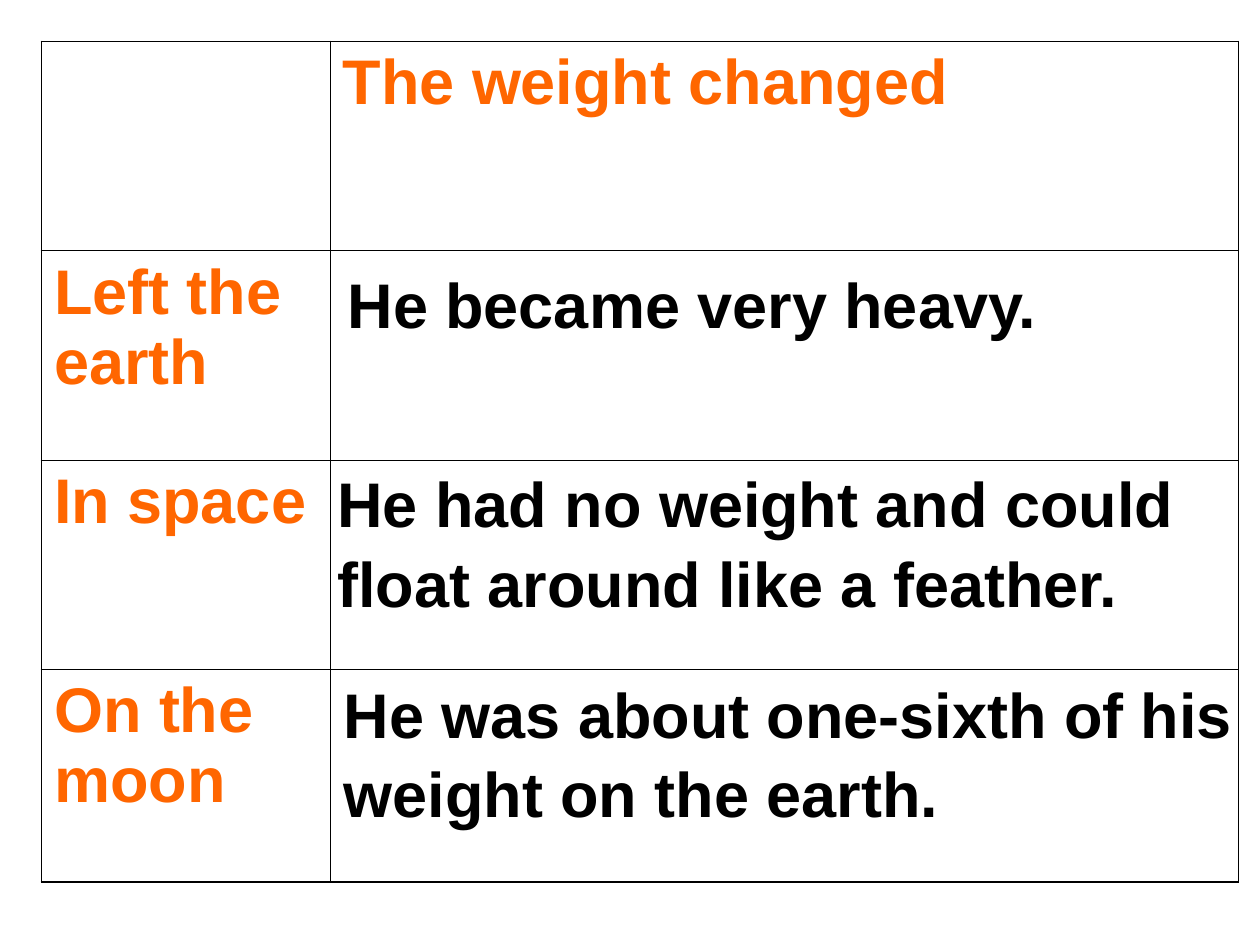
from lxml import etree
from pptx import Presentation
from pptx.dml.color import RGBColor
from pptx.enum import text
from pptx.oxml import ns
from pptx.util import Inches, Pt

ORANGE = RGBColor(0xFF, 0x66, 0x00)
BLACK = RGBColor(0, 0, 0)
FONT, SIZE = "Arial", 36
THIN, THICK = 0.45, 1.08

# Content
ROWS = [
    ("", "The weight changed"),
    ("Left the earth", ""),
    ("In space", ""),
    ("On the moon", ""),
]
COLS = [2.29, 7.21]
HEIGHTS = [1.66, 1.66, 1.66, 1.69]
LEFT = TOP = 0.33
NOTES = [  # left, top, width, height, words
    (2.66, 2.03, 7.01, 0.7, "He became very heavy."),
    (2.58, 3.61, 7.09, 1.3,
     "He had no weight and could float around like a feather."),
    (2.63, 5.28, 8.04, 1.3,
     "He was about one-sixth of his weight on the earth."),
]


def write(frame, words, color):
    par = frame.paragraphs[0]
    par.alignment = text.PP_ALIGN.LEFT
    run = par.add_run()
    run.text = words
    font = run.font
    font.name, font.size, font.bold = FONT, Pt(SIZE), True
    font.color.rgb = color
    return par


def add_line(props, side, width):
    line = etree.SubElement(props, ns.qn("a:" + side), w=str(Pt(width)))
    fill = etree.SubElement(line, ns.qn("a:solidFill"))
    etree.SubElement(fill, ns.qn("a:srgbClr"), val=str(BLACK))


def main():
    prs = Presentation()
    prs.slide_width, prs.slide_height = Inches(10), Inches(7.5)
    slide = prs.slides.add_slide(prs.slide_layouts[6])

    # Table grid
    grid = slide.shapes.add_table(
        len(ROWS), len(COLS), Inches(LEFT), Inches(TOP),
        Inches(sum(COLS)), Inches(sum(HEIGHTS))).table
    grid.first_row = grid.horz_banding = False
    for col, width in zip(grid.columns, COLS):
        col.width = Inches(width)
    for row, height in zip(grid.rows, HEIGHTS):
        row.height = Inches(height)

    # Cells: thick lines on the outer edge, thin ones inside
    for r, row in enumerate(ROWS):
        for c, words in enumerate(row):
            cell = grid.cell(r, c)
            props = cell._tc.get_or_add_tcPr()
            edges = {"lnL": c == 0, "lnR": c == len(COLS) - 1,
                     "lnT": r == 0, "lnB": r == len(ROWS) - 1}
            for side, outer in edges.items():
                add_line(props, side, THICK if outer else THIN)
            cell.fill.background()
            if words:
                write(cell.text_frame, words, ORANGE)

    # Answers laid over the right column
    for left, top, width, height, words in NOTES:
        box = slide.shapes.add_textbox(
            Inches(left), Inches(top), Inches(width), Inches(height))
        frame = box.text_frame
        frame.word_wrap = True
        frame.auto_size = text.MSO_AUTO_SIZE.SHAPE_TO_FIT_TEXT
        write(frame, words, BLACK).line_spacing = 1.05

    prs.save("out.pptx")


if __name__ == "__main__":
    main()
